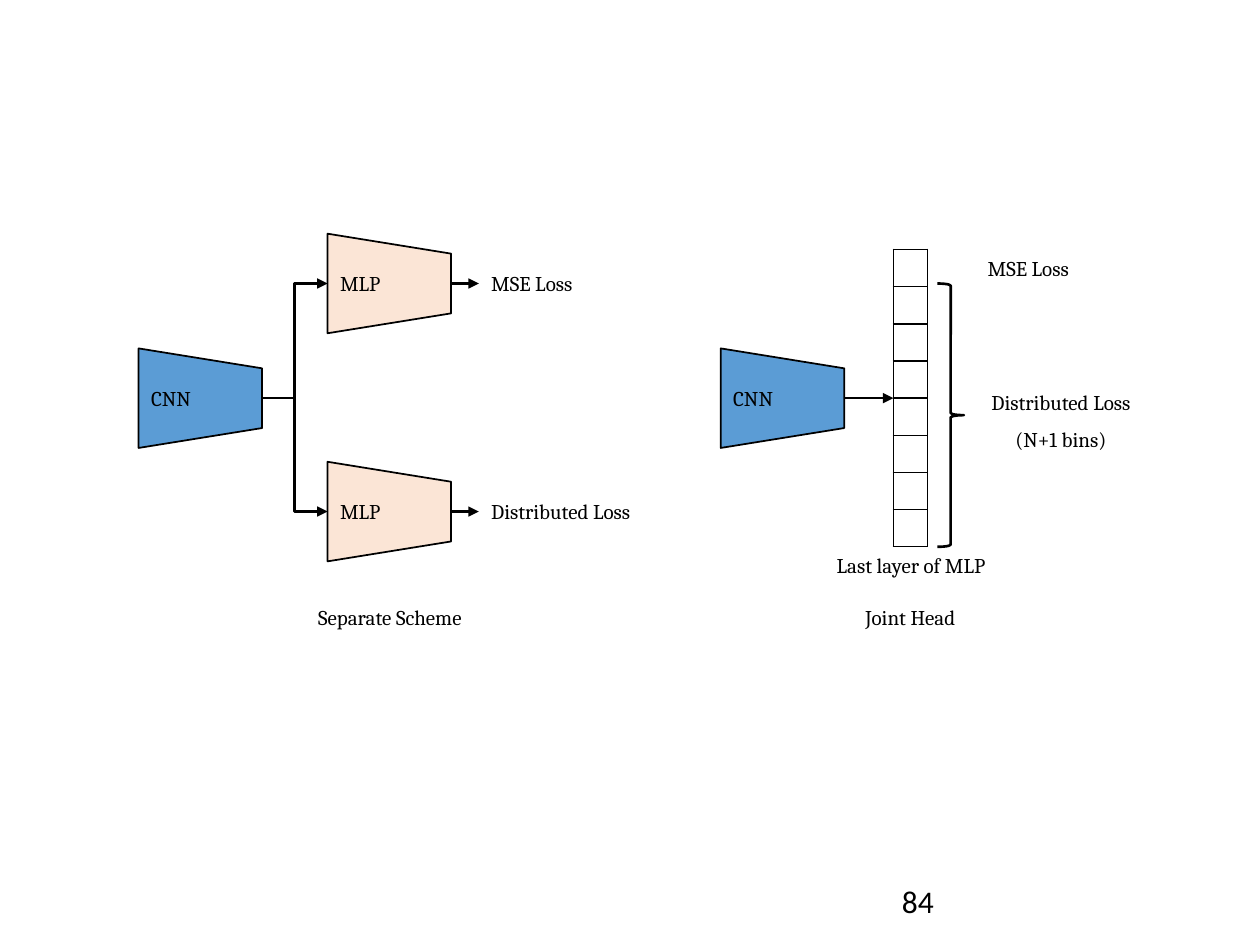
from dataclasses import dataclass

from lxml.etree import SubElement
from pptx import Presentation
from pptx.dml.color import RGBColor
from pptx.enum.shapes import MSO_CONNECTOR, MSO_SHAPE
from pptx.enum.text import MSO_ANCHOR, PP_ALIGN
from pptx.oxml.ns import qn
from pptx.util import Inches, Pt

BLACK = RGBColor(0x00, 0x00, 0x00)
BLUE = RGBColor(0x5B, 0x9C, 0xD5)
PEACH = RGBColor(0xFB, 0xE5, 0xD6)
SLIDE_WIDTH, SLIDE_HEIGHT = Inches(10), Inches(7.5)
COLUMN, ROW = SLIDE_WIDTH / 100, SLIDE_HEIGHT / 75
FUNNEL_LENGTH, FUNNEL_SPAN = 9.8, 7.9
LABEL_WIDTH, LABEL_HEIGHT = 15.2, 3
CAPTION_WIDTH = 18.9


@dataclass
class Box:
    """A region of the slide, measured in grid columns and rows."""

    left: float
    top: float

    def point(self, column, row):
        """Return the slide position of a grid point in the region."""
        return round((self.left + column) * COLUMN), round((self.top + row) * ROW)

    def area(self, column, row, columns, rows):
        """Return the slide position and size of a part of the region."""
        return *self.point(column, row), round(columns * COLUMN), round(rows * ROW)


def write(paragraph, text, size=12, font="Cambria", align=PP_ALIGN.LEFT):
    """Add one formatted run to a paragraph."""
    paragraph.alignment = align
    run = paragraph.add_run()
    run.text = text
    run.font.size = Pt(size)
    run.font.name = font
    run.font.color.rgb = BLACK


def add_label(slide, area, lines, spacing=None, **style):
    """Add a text box with one paragraph for each line."""
    frame = slide.shapes.add_textbox(*area).text_frame
    frame.word_wrap = True
    for index, line in enumerate(lines):
        paragraph = frame.add_paragraph() if index else frame.paragraphs[0]
        paragraph.line_spacing = spacing
        write(paragraph, line, **style)


def add_funnel(slide, box, left, middle, label, fill):
    """Add a network block that narrows to the right, with upright text."""
    area = box.area(left + (FUNNEL_LENGTH - FUNNEL_SPAN) / 2,
                    middle - FUNNEL_LENGTH / 2, FUNNEL_SPAN, FUNNEL_LENGTH)
    shape = slide.shapes.add_shape(MSO_SHAPE.FLOWCHART_MANUAL_OPERATION, *area)
    shape.rotation = 270
    shape.shadow.inherit = False
    shape.fill.solid()
    shape.fill.fore_color.rgb = fill
    shape.line.color.rgb = BLACK
    shape.line.width = Pt(1)
    frame = shape.text_frame
    frame.vertical_anchor = MSO_ANCHOR.MIDDLE
    shape.element.txBody.find(qn("a:bodyPr")).set("vert", "eaVert")
    write(frame.paragraphs[0], label, align=PP_ALIGN.CENTER)


def add_arrow(slide, begin, end, kind=MSO_CONNECTOR.STRAIGHT):
    """Add a connector with a triangle at its end."""
    connector = slide.shapes.add_connector(kind, *begin, *end)
    connector.line.color.rgb = BLACK
    connector.line.width = Pt(1.5)
    SubElement(connector.line._get_or_add_ln(), qn("a:tailEnd"), type="triangle")
    SubElement(connector.element.spPr, qn("a:effectLst"))


def add_cell_borders(cell):
    """Draw a thin black line on each side of a table cell."""
    properties = cell._tc.get_or_add_tcPr()
    for position, side in enumerate(("lnL", "lnR", "lnT", "lnB")):
        line = properties.makeelement(qn(f"a:{side}"), {"w": str(Pt(1))})
        properties.insert(position, line)
        solid = SubElement(line, qn("a:solidFill"))
        SubElement(solid, qn("a:srgbClr"), val=str(BLACK))


def add_layer(slide, area, count):
    """Add the last layer as a single column of empty cells."""
    table = slide.shapes.add_table(count, 1, *area).table
    table.first_row = table.horz_banding = False
    for row in table.rows:
        row.height = round(area[3] / count)
        cell = row.cells[0]
        cell.fill.background()
        cell.margin_left = cell.margin_right = cell.margin_top = cell.margin_bottom = 0
        SubElement(cell.text_frame.paragraphs[0]._p, qn("a:endParaRPr"), sz="1200")
        add_cell_borders(cell)


def add_separate_scheme(slide, box):
    """Draw one backbone that feeds two separate heads."""
    middle, head_left, label_left = 14, 15, 27
    add_funnel(slide, box, 0, middle, "CNN", BLUE)
    for head_middle, loss in ((4.9, "MSE Loss"), (23, "Distributed Loss")):
        add_funnel(slide, box, head_left, head_middle, "MLP", PEACH)
        add_arrow(slide, box.point(FUNNEL_LENGTH, middle),
                  box.point(head_left, head_middle), MSO_CONNECTOR.ELBOW)
        add_arrow(slide, box.point(head_left + FUNNEL_LENGTH, head_middle),
                  box.point(label_left, head_middle))
        add_label(slide, box.area(label_left, head_middle - LABEL_HEIGHT / 2,
                                  LABEL_WIDTH, LABEL_HEIGHT), [loss])
    add_label(slide, box.area(10.5, 29.9, CAPTION_WIDTH, LABEL_HEIGHT),
              ["Separate Scheme"], align=PP_ALIGN.CENTER)


def add_joint_head(slide, box):
    """Draw one backbone that feeds a single layer shared by both losses."""
    middle, layer_left, layer_top, layer_height = 14, 13.7, 2.2, 23.6
    layer_bottom = layer_top + layer_height
    add_funnel(slide, box, 0, middle, "CNN", BLUE)
    add_layer(slide, box.area(layer_left, layer_top, 2.7, layer_height), 8)
    add_arrow(slide, box.point(FUNNEL_LENGTH, middle), box.point(layer_left, middle))
    brace = slide.shapes.add_shape(
        MSO_SHAPE.RIGHT_BRACE, *box.area(17.2, 4.9, 2.1, layer_bottom - 4.9))
    brace.shadow.inherit = False
    brace.fill.background()
    brace.line.color.rgb = BLACK
    brace.line.width = Pt(1.5)
    add_label(slide, box.area(20.2, layer_top, LABEL_WIDTH, LABEL_HEIGHT), ["MSE Loss"])
    add_label(slide, box.area(19.4, 11.8, LABEL_WIDTH, 6.7),
              ["Distributed Loss", "(N+1 bins)"], spacing=1.5, align=PP_ALIGN.CENTER)
    add_label(slide, box.area(7.5, layer_bottom, LABEL_WIDTH, LABEL_HEIGHT),
              ["Last layer of MLP"], align=PP_ALIGN.CENTER)
    add_label(slide, box.area(5.6, 29.9, CAPTION_WIDTH, LABEL_HEIGHT),
              ["Joint Head"], align=PP_ALIGN.CENTER)


def add_page_number(slide, box):
    """Add the page number at the foot of the slide."""
    add_label(slide, box.area(0, 0, 22.5, 4), ["84"], size=18, font="Calibri")


def main():
    """Build and save the presentation."""
    presentation = Presentation()
    presentation.slide_width, presentation.slide_height = SLIDE_WIDTH, SLIDE_HEIGHT
    slide = presentation.slides.add_slide(presentation.slide_layouts[6])
    add_separate_scheme(slide, Box(11, 17.6))
    add_joint_head(slide, Box(57.2, 17.6))
    add_page_number(slide, Box(70.6, 69.5))
    presentation.save("out.pptx")


if __name__ == "__main__":
    main()
